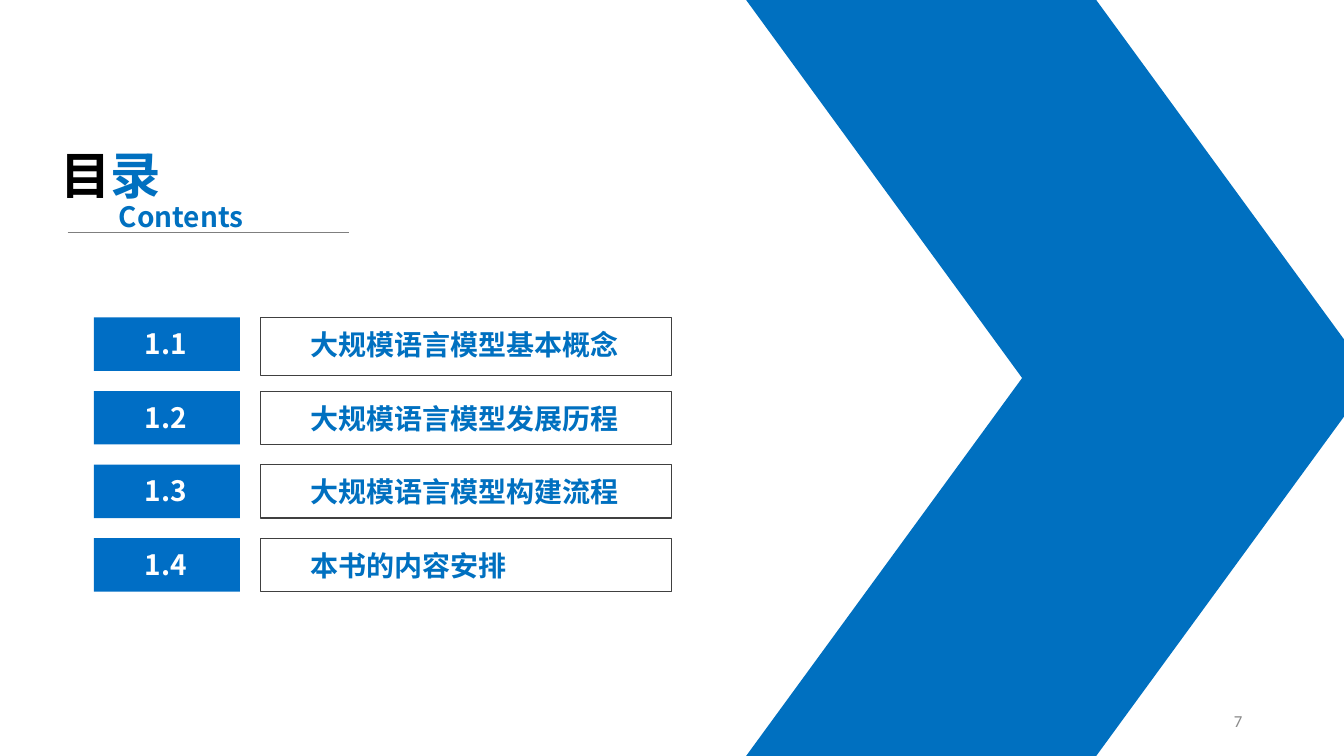
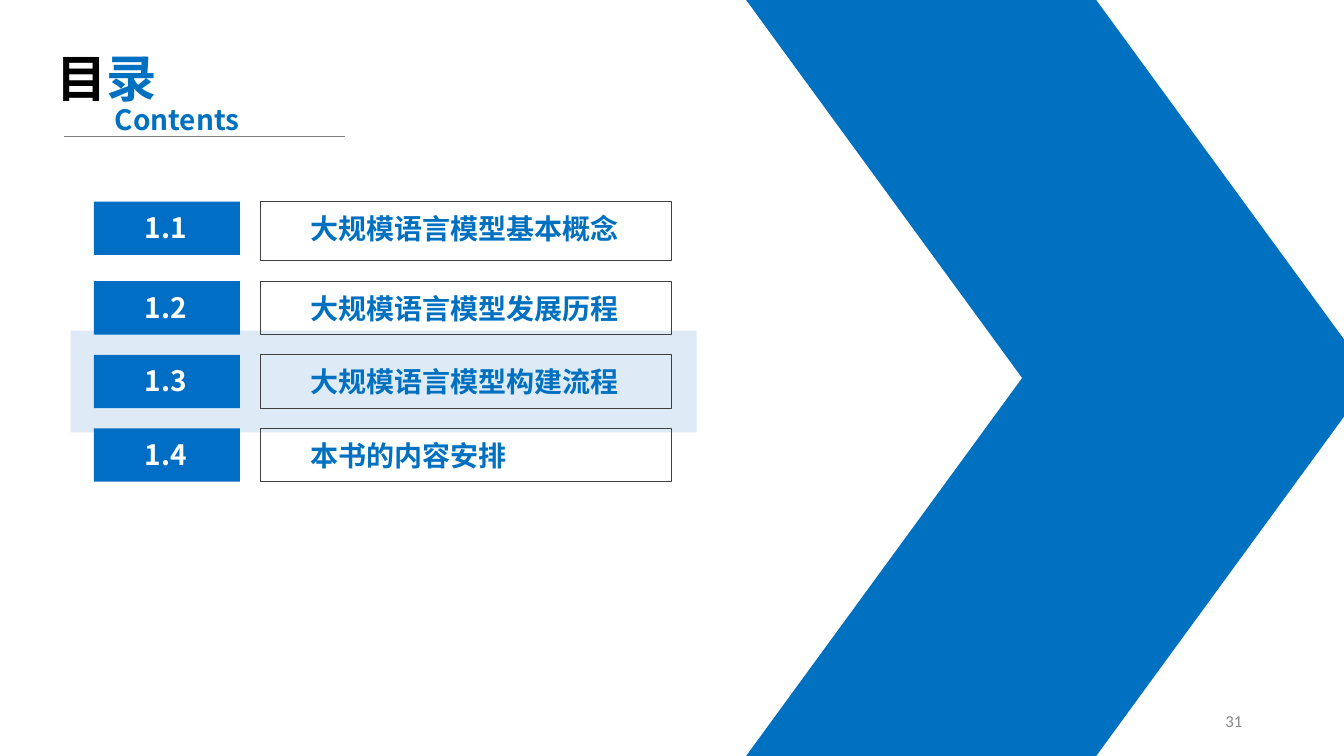
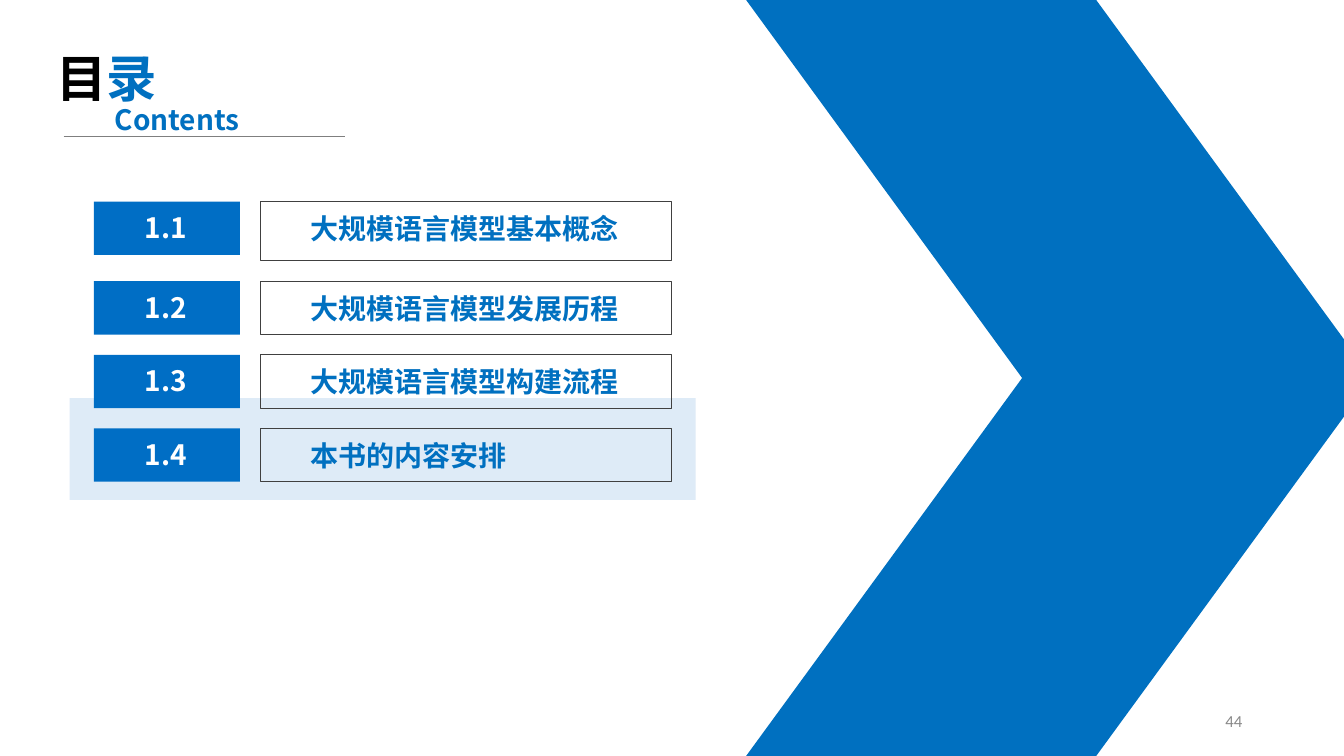
from lxml import etree
from pptx import Presentation
from pptx.dml.color import RGBColor
from pptx.enum.shapes import MSO_CONNECTOR, MSO_SHAPE
from pptx.enum.text import MSO_ANCHOR, MSO_AUTO_SIZE, PP_ALIGN
from pptx.oxml.ns import qn
from pptx.util import Inches, Pt

RECT = MSO_SHAPE.RECTANGLE
SLANT = MSO_SHAPE.PARALLELOGRAM
LINE = MSO_CONNECTOR.STRAIGHT
LEFT, MID, RIGHT = PP_ALIGN.LEFT, PP_ALIGN.CENTER, PP_ALIGN.RIGHT
TOP, HALF = MSO_ANCHOR.TOP, MSO_ANCHOR.MIDDLE
FIXED = MSO_AUTO_SIZE.NONE

HUES = {
    "blue": "0070C0",
    "tag": "006EC5",
    "pale": "DEEBF7",
    "frame": "404040",
    "rule": "7F7F7F",
    "page": "898989",
    "black": "000000",
    "white": "FFFFFF",
}
HAN = "Noto Sans CJK SC"
FONTS = {
    "title": {"name": HAN, "size": Pt(36), "bold": True},
    "item": {"name": HAN, "size": Pt(20), "bold": True},
    "page": {"name": "Calibri", "size": Pt(12), "bold": False},
}
ITEMS = [
    "大规模语言模型基本概念",
    "大规模语言模型发展历程",
    "大规模语言模型构建流程",
    "本书的内容安排",
]
STEP = 0.73
SLIDES = [
    {"page": "7", "head": (0.5, 1.38), "first": 3.15, "second": 3.88, "glow": None},
    {"page": "31", "head": (0.46, 0.42), "first": 2, "second": 2.79, "glow": (0.7, 3.28)},
    {"page": "44", "head": (0.46, 0.42), "first": 2, "second": 2.79, "glow": (0.69, 3.95)},
]


def hue(name):
    return RGBColor.from_string(HUES[name])


class Deck:
    def __init__(self):
        self.file = Presentation()
        self.file.slide_width = Inches(13.33)
        self.file.slide_height = Inches(7.5)
        self.slide = None

    def start(self):
        self.slide = self.file.slides.add_slide(self.file.slide_layouts[5])

    def fill_text(self, shape, runs, font, align=LEFT, anchor=TOP):
        frame = shape.text_frame
        look = {"word_wrap": True, "auto_size": FIXED, "vertical_anchor": anchor}
        for key, value in look.items():
            setattr(frame, key, value)
        para = frame.paragraphs[0]
        para.alignment = align
        for text, tint in runs:
            run = para.add_run()
            run.text = text
            for key, value in FONTS[font].items():
                setattr(run.font, key, value)
            run.font.color.rgb = hue(tint)
            east = etree.SubElement(run.font._element, qn("a:ea"))
            east.set("typeface", FONTS[font]["name"])

    def text(self, box, words, font, tint, align=LEFT, anchor=TOP):
        shape = self.slide.shapes.add_textbox(*map(Inches, box))
        self.fill_text(shape, [(words, tint)], font, align, anchor)

    def block(self, box, fill=None, line=None, kind=RECT):
        shape = self.slide.shapes.add_shape(kind, *map(Inches, box))
        shape.shadow.inherit = False
        if fill:
            shape.fill.solid()
            shape.fill.fore_color.rgb = hue(fill)
        else:
            shape.fill.background()
        if line:
            shape.line.color.rgb = hue(line)
            shape.line.width = Pt(0.75)
        else:
            shape.line.fill.background()
        return shape

    def arrow(self):
        for top in (3.75, 0):
            half = self.block((7.4, top, 6.21, 3.75), "blue", kind=SLANT)
            half.adjustments[0] = 0.73
            if top == 0:
                half._element.spPr.xfrm.set("flipV", "1")

    def head(self, left, top):
        title = self.slide.shapes.title
        place = {"left": left, "top": top, "width": 1.57, "height": 0.71}
        for key, value in place.items():
            setattr(title, key, Inches(value))
        self.fill_text(title, [("目", "black"), ("录", "blue")], "title")
        self.rule(left + 0.17, top + 0.93, 2.79)
        self.text((left + 0.58, top + 0.55, 1.57, 0.44), "Contents", "item", "blue")

    def rule(self, left, top, width):
        ends = map(Inches, (left, top, left + width, top))
        line = self.slide.shapes.add_connector(LINE, *ends)
        line.line.color.rgb = hue("rule")
        line.line.width = Pt(0.5)
        etree.SubElement(line._element.spPr, qn("a:effectLst"))

    def row(self, top, height, label, words):
        self.block((2.58, top, 4.08, height), line="frame")
        self.text((2.98, top + 0.05, 3.69, 0.44), words, "item", "blue")
        self.block((0.93, top, 1.45, 0.53), "tag")
        self.text((1.12, top + 0.04, 1.05, 0.44), label, "item", "white", MID)

    def page(self, number):
        self.text((9.42, 6.95, 3, 0.4), number, "page", "page", RIGHT, HALF)


def main():
    deck = Deck()
    for plan in SLIDES:
        deck.start()
        if plan["glow"]:
            deck.block((*plan["glow"], 6.21, 1.01), "pale")
        deck.arrow()
        deck.head(*plan["head"])
        for i, words in enumerate(ITEMS):
            top = plan["second"] + (i - 1) * STEP if i else plan["first"]
            deck.row(top, 0.53 if i else 0.58, f"1.{i + 1}", words)
        deck.page(plan["page"])
    deck.file.save("out.pptx")


if __name__ == "__main__":
    main()
